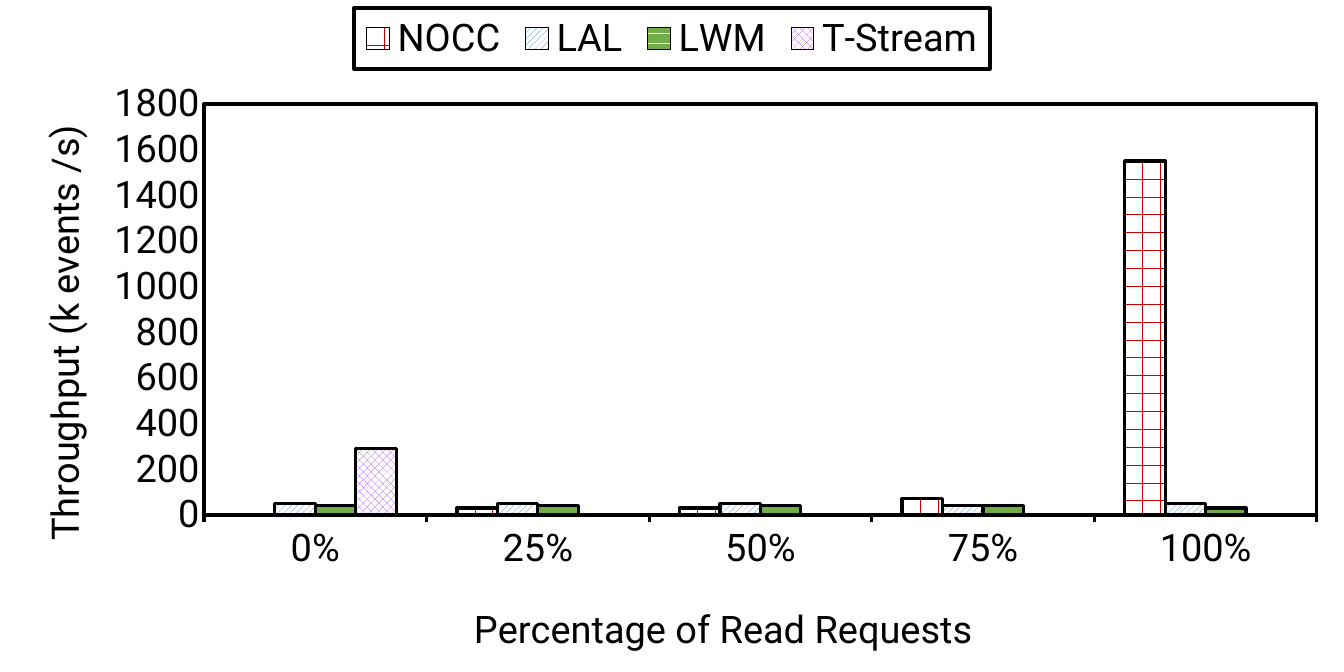
from lxml.etree import SubElement
from pptx import Presentation
from pptx.chart.data import CategoryChartData
from pptx.dml.color import RGBColor
from pptx.enum.chart import XL_CHART_TYPE, XL_LEGEND_POSITION, XL_TICK_MARK
from pptx.enum.dml import MSO_PATTERN
from pptx.oxml import parse_xml
from pptx.oxml.ns import nsdecls, qn
from pptx.util import Pt

PX = 8035
WIDTH, HEIGHT = 1344, 672
COLORS = {
    "ink": "000000",
    "paper": "FFFFFF",
    "red": "C90001",
    "blue": "4472C4",
    "green": "70AD47",
    "purple": "A345EE",
}
TEXT_FORMAT = {"name": "Roboto", "size": Pt(24), "bold": False}
CATEGORIES = ["0%", "25%", "50%", "75%", "100%"]
SERIES = [
    ("NOCC", [0, 30, 30, 70, 1550], MSO_PATTERN.DOTTED_GRID, "red"),
    ("LAL", [50, 50, 50, 40, 50], MSO_PATTERN.WIDE_UPWARD_DIAGONAL, "blue"),
    ("LWM", [40, 40, 40, 40, 30], MSO_PATTERN.DARK_HORIZONTAL, "green"),
    ("T-Stream", [290, None, None, None, None], MSO_PATTERN.PERCENT_50, "purple"),
]


def color(name):
    return RGBColor.from_string(COLORS[name])


def set_format(target, values):
    for name, value in values.items():
        setattr(target, name, value)


def style_font(font):
    set_format(font, TEXT_FORMAT)
    font.color.rgb = color("ink")


def style_line(line):
    line.color.rgb = color("ink")
    line.width = Pt(2)


def place(element, left, top, width=None, height=None, inner=False):
    layout = element.find(qn("c:layout"))
    if layout is None:
        layout = parse_xml(f"<c:layout {nsdecls('c')}/>")
        overlay = element.find(qn("c:overlay"))
        element.insert(0 if overlay is None else element.index(overlay), layout)
    for child in list(layout):
        layout.remove(child)
    manual = SubElement(layout, qn("c:manualLayout"))
    settings = {"layoutTarget": "inner"} if inner else {}
    settings.update(xMode="edge", yMode="edge", x=left / WIDTH, y=top / HEIGHT)
    if width:
        settings.update(w=width / WIDTH, h=height / HEIGHT)
    for name, value in settings.items():
        SubElement(manual, qn(f"c:{name}")).set("val", str(value))


def frame():
    return parse_xml(
        f'<c:spPr {nsdecls("c", "a")}><a:noFill/><a:ln w="{Pt(2)}"><a:solidFill>'
        f'<a:srgbClr val="{COLORS["ink"]}"/></a:solidFill></a:ln></c:spPr>'
    )


def add_axis_title(axis, text, left, top, rotation):
    axis.has_title = True
    title = axis.axis_title
    title.text_frame.text = text
    style_font(title.text_frame.paragraphs[0].runs[0].font)
    element = title._element
    body = element.find(".//" + qn("a:bodyPr"))
    body.set("rot", str(rotation * 60000))
    body.set("vert", "horz")
    place(element, left, top)


def style_axes(chart):
    category_axis, value_axis = chart.category_axis, chart.value_axis
    shared = {"has_major_gridlines": False, "minor_tick_mark": XL_TICK_MARK.NONE}
    for axis in (category_axis, value_axis):
        set_format(axis, shared)
        style_font(axis.tick_labels.font)
    category_axis.major_tick_mark = XL_TICK_MARK.OUTSIDE
    style_line(category_axis.format.line)
    set_format(value_axis, {
        "minimum_scale": 0,
        "maximum_scale": 1800,
        "major_unit": 200,
        "major_tick_mark": XL_TICK_MARK.NONE,
    })
    set_format(value_axis.tick_labels, {"number_format": "0", "number_format_is_linked": False})
    value_axis.format.line.fill.background()
    add_axis_title(category_axis, "Percentage of Read Requests", 467, 597, 0)
    add_axis_title(value_axis, "Throughput (k events /s)", 32, 118, -90)


def style_series(plot):
    set_format(plot, {"gap_width": 150, "overlap": 0, "vary_by_categories": False})
    for series, (_, _, pattern, ink) in zip(plot.series, SERIES):
        series.invert_if_negative = False
        fill = series.format.fill
        fill.patterned()
        fill.pattern = pattern
        fill.fore_color.rgb = color(ink)
        fill.back_color.rgb = color("paper")
        style_line(series.format.line)


def add_legend(chart):
    chart.has_legend = True
    legend = chart.legend
    set_format(legend, {"position": XL_LEGEND_POSITION.TOP, "include_in_layout": False})
    style_font(legend.font)
    element = legend._element
    place(element, 354, 8, 636, 61)
    element.find(qn("c:overlay")).addnext(frame())


def add_throughput_chart(slide):
    data = CategoryChartData(number_format="0")
    data.categories = CATEGORIES
    for name, values, _, _ in SERIES:
        data.add_series(name, values)
    chart = slide.shapes.add_chart(
        XL_CHART_TYPE.COLUMN_CLUSTERED, 0, 0, WIDTH * PX, HEIGHT * PX, data
    ).chart
    chart.has_title = False
    style_font(chart.font)
    style_axes(chart)
    style_series(chart.plots[0])
    add_legend(chart)
    plot_area = chart._chartSpace.find(".//" + qn("c:plotArea"))
    place(plot_area, 204, 104, 1113, 411, inner=True)
    plot_area.append(frame())


def main():
    presentation = Presentation()
    set_format(presentation, {"slide_width": WIDTH * PX, "slide_height": HEIGHT * PX})
    slide = presentation.slides.add_slide(presentation.slide_layouts[6])
    add_throughput_chart(slide)
    presentation.save("out.pptx")


if __name__ == "__main__":
    main()
